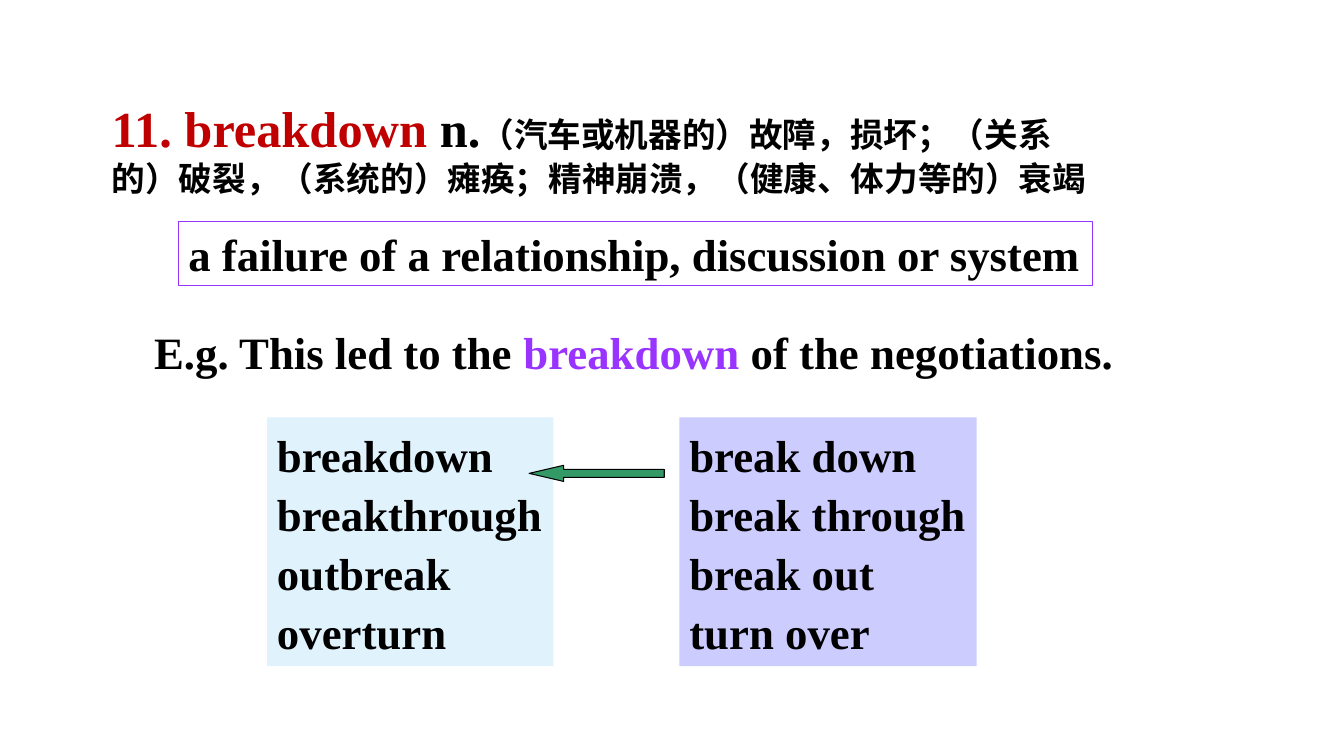
import pptx
import pptx.util
import pptx.dml.color
import pptx.enum.shapes
import pptx.enum.text

Pt = pptx.util.Pt
RGBColor = pptx.dml.color.RGBColor
SHAPES = pptx.enum.shapes.MSO_SHAPE
ANCHOR = pptx.enum.text.MSO_ANCHOR

BLACK = RGBColor(0x00, 0x00, 0x00)
RED = RGBColor(0xC0, 0x00, 0x00)
PURPLE = RGBColor(0x99, 0x33, 0xFF)
GREEN = RGBColor(0x33, 0x99, 0x66)
PALE_BLUE = RGBColor(0xE0, 0xF2, 0xFC)
LAVENDER = RGBColor(0xCC, 0xCC, 0xFF)


def add_block(kind, box, fill=None, line=None, weight=1):
    block = slide.shapes.add_shape(kind, *map(Pt, box))
    block.shadow.inherit = False
    for part, color in ((block.fill, fill), (block.line.fill, line)):
        if color is None:
            part.background()
        else:
            part.solid()
            part.fore_color.rgb = color
    if line is not None:
        block.line.width = Pt(weight)
    return block


def write(frame, paragraphs, anchor, wrap=True, spacing=1.0):
    layout = {
        "word_wrap": wrap,
        "vertical_anchor": anchor,
        "auto_size": pptx.enum.text.MSO_AUTO_SIZE.SHAPE_TO_FIT_TEXT,
    }
    for name, value in layout.items():
        setattr(frame, name, value)
    for index, pieces in enumerate(paragraphs):
        paragraph = frame.add_paragraph() if index else frame.paragraphs[0]
        paragraph.alignment = pptx.enum.text.PP_ALIGN.LEFT
        paragraph.line_spacing = spacing
        for text, size, color in pieces:
            run = paragraph.add_run()
            run.text = text
            style = {"name": "Times New Roman", "size": Pt(size), "bold": True}
            for name, value in style.items():
                setattr(run.font, name, value)
            run.font.color.rgb = color


deck = pptx.Presentation()
deck.slide_width = Pt(960)
deck.slide_height = Pt(540)
slide = deck.slides.add_slide(deck.slide_layouts[6])

definition = [("a failure of a relationship, discussion or system", 32, BLACK)]
example = [
    ("E.g. This led to the ", 32, BLACK),
    ("breakdown", 32, PURPLE),
    (" of the negotiations.", 32, BLACK),
]
headword = [
    ("11. breakdown ", 36, RED),
    ("n.", 36, BLACK),
    ("（汽车或机器的）故障，损坏；（关系的）破裂，（系统的）瘫痪；精神崩溃，（健康、体力等的）衰竭", 24, BLACK),
]
entries = [
    ((127.5, 158.4, 662.4, 46), definition, ANCHOR.MIDDLE),
    ((103, 228.2, 717, 46), example, ANCHOR.MIDDLE),
    ((72.7, 66.2, 723.6, 80), headword, ANCHOR.TOP),
]
for box, pieces, anchor in entries:
    entry = slide.shapes.add_textbox(*map(Pt, box))
    write(entry.text_frame, [pieces], anchor)

add_block(SHAPES.RECTANGLE, (127.5, 158.4, 653, 45.4), line=PURPLE)

word_lists = [
    (190.8, 204.5, PALE_BLUE, ["breakdown", "breakthrough", "outbreak", "overturn"]),
    (485.3, 212.4, LAVENDER, ["break down", "break through", "break out", "turn over"]),
]
for left, width, color, words in word_lists:
    word_list = add_block(SHAPES.RECTANGLE, (left, 298.1, width, 177.8), fill=color)
    lines = [[(word, 32, BLACK)] for word in words]
    write(word_list.text_frame, lines, ANCHOR.TOP, wrap=False, spacing=1.1)

arrow = add_block(SHAPES.LEFT_ARROW, (378, 332.4, 96.5, 11.5), GREEN, BLACK, 0.75)
arrow.adjustments[0] = 0.5
arrow.adjustments[1] = 2.14

deck.save("out.pptx")
